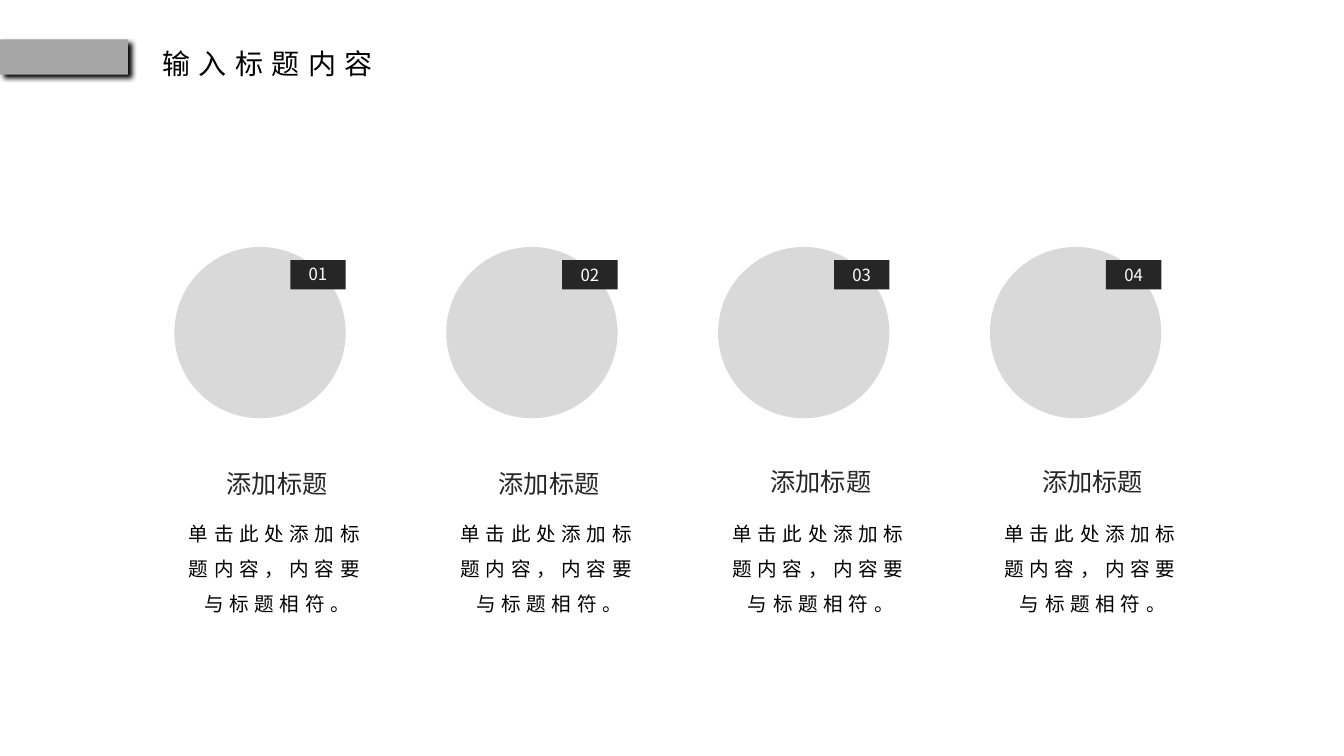
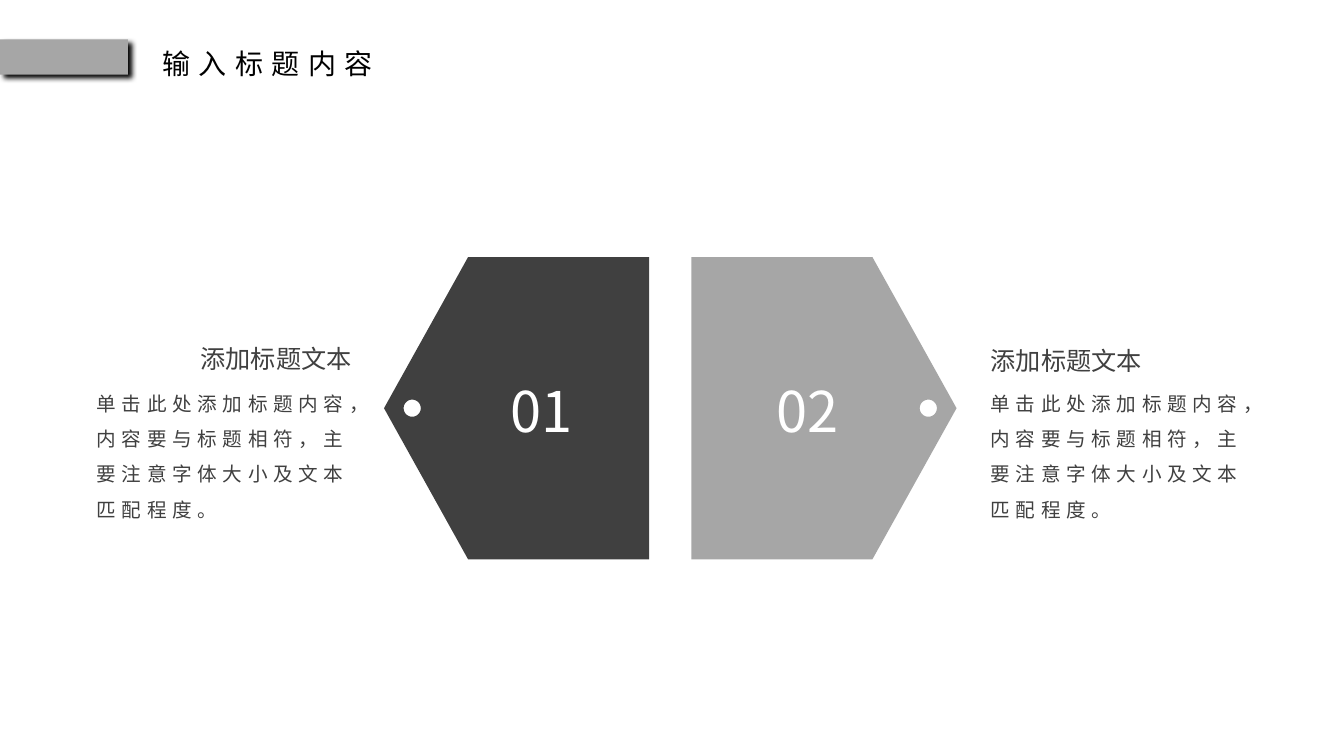
from math import cos, pi, sin

from lxml import etree
from pptx import Presentation
from pptx.dml.color import RGBColor
from pptx.enum.shapes import MSO_SHAPE
from pptx.enum.text import MSO_AUTO_SIZE, PP_ALIGN
from pptx.oxml.ns import qn
from pptx.util import Inches, Pt

RECTANGLE = MSO_SHAPE.RECTANGLE
OVAL = MSO_SHAPE.OVAL
LEFT = PP_ALIGN.LEFT
CENTER = PP_ALIGN.CENTER
GROW = MSO_AUTO_SIZE.SHAPE_TO_FIT_TEXT

COLUMNS, ROWS = 133.33, 75
CELL = Inches(0.1)
BLANK_LAYOUT = 6
FONT = "Noto Sans CJK SC"

BLACK, INK, CHARCOAL = "000000", "262626", "404040"
GRAY, PALE, WHITE = "A6A6A6", "D9D9D9", "FFFFFF"

HEADING = {"size": 20, "color": BLACK, "spacing": 6, "align": CENTER, "wrap": False}
BADGE = {"size": 12, "color": WHITE, "align": CENTER}
CARD_TITLE = {"size": 18, "color": INK, "align": CENTER, "line": 1.5}
CARD_BODY = {"size": 14, "color": BLACK, "spacing": 4, "align": CENTER, "line": 1.5}
NOTE_TITLE = {"size": 18, "color": CHARCOAL, "line": 1.5}
NOTE_BODY = {"size": 14, "color": CHARCOAL, "spacing": 4, "line": 1.5}
TAG_NUMBER = {"size": 40, "color": WHITE}

CARD_LEFT, CARD_TOP, CARD_PITCH = 17.3, 24.5, 26.97
CARDS = [("01", 1.2, 20), ("02", 1.3, 20), ("03", 1.3, 19.8), ("04", 1.3, 19.8)]
TAG_TOP, TAG_HEIGHT, TAG_GAP = 25.5, 30, 4.2
TAG_CENTER = 66.5


def rgb(color):
    return RGBColor.from_string(color)


def grid(*cells):
    return [int(cell * CELL) for cell in cells]


def paint(shape, color):
    shape.shadow.inherit = False
    shape.fill.solid()
    shape.fill.fore_color.rgb = rgb(color)
    shape.line.fill.background()
    return shape


def add_block(slide, kind, box, color):
    return paint(slide.shapes.add_shape(kind, *grid(*box)), color)


def add_text(slide, box, text, style):
    frame = slide.shapes.add_textbox(*grid(*box)).text_frame
    frame.word_wrap = style.get("wrap", True)
    frame.auto_size = GROW
    paragraph = frame.paragraphs[0]
    paragraph_format = {
        "alignment": style.get("align", LEFT),
        "line_spacing": style.get("line", 1.0),
    }
    for name, value in paragraph_format.items():
        setattr(paragraph, name, value)
    run = paragraph.add_run()
    run.text = text
    for name, value in {"size": Pt(style["size"]), "name": FONT}.items():
        setattr(run.font, name, value)
    run.font.color.rgb = rgb(style["color"])
    properties = run._r.get_or_add_rPr()
    properties.set("spc", str(style.get("spacing", 0) * 100))
    etree.SubElement(properties, qn("a:ea"), typeface=FONT)


def add_shadow(shape, blur, distance, angle):
    effects = shape._element.spPr.find(qn("a:effectLst"))
    shadow = etree.SubElement(
        effects,
        qn("a:outerShdw"),
        blurRad=str(Pt(blur)),
        dist=str(Pt(distance)),
        dir=str(angle * 60000),
        algn="tl",
        rotWithShape="0",
    )
    color = etree.SubElement(shadow, qn("a:srgbClr"), val=BLACK)
    etree.SubElement(color, qn("a:alpha"), val="99000")


def add_titled_slide(presentation, title):
    slide = presentation.slides.add_slide(presentation.slide_layouts[BLANK_LAYOUT])
    band = add_block(slide, RECTANGLE, (0, 3.9, 12.7, 3.5), GRAY)
    add_shadow(band, blur=4, distance=4, angle=40)
    add_text(slide, (14.6, 4.1, 23.9, 4.4), title, HEADING)
    return slide


def add_card(slide, left, top, number, number_top, title_top):
    add_block(slide, OVAL, (left, top, 17, 17), PALE)
    add_block(slide, RECTANGLE, (left + 11.5, top + 1.3, 5.5, 2.9), INK)
    add_text(slide, (left + 11.3, top + number_top, 5.9, 3), number, BADGE)
    add_text(slide, (left, top + 25.6, 20.4, 11.3),
             "单击此处添加标题内容，内容要与标题相符。", CARD_BODY)
    add_text(slide, (left + 1.9, top + title_top, 16.6, 5.2), "添加标题", CARD_TITLE)


def add_tag(slide, edge, top, direction, color):
    middle = top + TAG_HEIGHT / 2
    shoulder, tip = edge + direction * 17.95, edge + direction * 26.3
    bottom = top + TAG_HEIGHT
    outline = [(edge, top), (shoulder, top), (tip, middle),
               (shoulder, bottom), (edge, bottom)]
    turns = [-direction * 2 * pi * step / 48 for step in range(48)]
    hole = [(edge + direction * 23.5 + 0.85 * cos(turn), middle + 0.85 * sin(turn))
            for turn in turns]
    builder = slide.shapes.build_freeform(*grid(*outline[0]))
    builder.add_line_segments([grid(*point) for point in outline[1:]])
    builder.move_to(*grid(*hole[0]))
    builder.add_line_segments([grid(*point) for point in hole[1:]])
    paint(builder.convert_to_shape(), color)


def add_note(slide, left, top, title_shift, title_rise):
    add_text(slide, (left + title_shift, top - title_rise, 17.1, 5.2),
             "添加标题文本", NOTE_TITLE)
    add_text(slide, (left, top, 27.1, 14.9),
             "单击此处添加标题内容，内容要与标题相符，主要注意字体大小及文本匹配程度。",
             NOTE_BODY)


def build_cards_slide(presentation):
    slide = add_titled_slide(presentation, "输入标题内容")
    for index, card in enumerate(CARDS):
        add_card(slide, CARD_LEFT + index * CARD_PITCH, CARD_TOP, *card)


def build_tags_slide(presentation):
    slide = add_titled_slide(presentation, "输入标题内容")
    sides = [
        (-1, CHARCOAL, "01", 49.7, (8.6, 37.2, 10.3, 5.1)),
        (1, GRAY, "02", 76, (97.3, 37.2, 0, 4.9)),
    ]
    for direction, color, number, number_left, note in sides:
        edge = TAG_CENTER + direction * TAG_GAP / 2
        add_tag(slide, edge, TAG_TOP, direction, color)
        add_note(slide, *note)
        add_text(slide, (number_left, TAG_TOP + 11.4, 11.8, 7.7), number, TAG_NUMBER)


def main():
    presentation = Presentation()
    presentation.slide_width, presentation.slide_height = grid(COLUMNS, ROWS)
    build_cards_slide(presentation)
    build_tags_slide(presentation)
    presentation.save("out.pptx")


if __name__ == "__main__":
    main()
